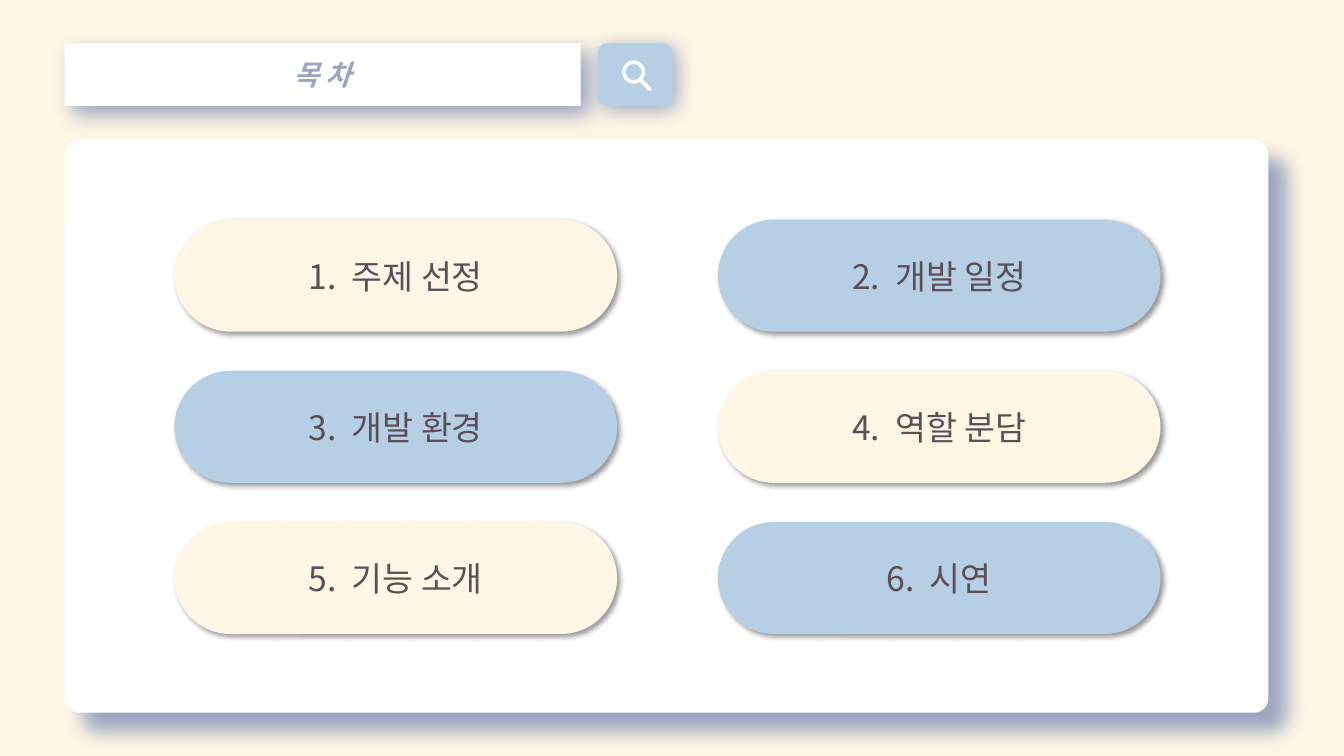
from lxml import etree
from pptx import Presentation
from pptx import util as u
from pptx.dml.color import RGBColor
from pptx.enum import shapes, text
from pptx.oxml import ns

# Content
TITLE = "목 차"
AGENDA = ["주제 선정", "개발 일정", "개발 환경", "역할 분담", "기능 소개", "시연"]

# Look
FONT = "Noto Sans CJK KR"
COLORS = {"cream": "FFF6E5", "blue": "B6CFE5", "white": "FFFFFF",
          "slate": "9AA6C0", "text": "5B4E55", "black": "000000"}
# Shadows: colour, opacity %, blur and distance in points
SHADOWS = {"bar": ("slate", 100, 15, 8), "button": ("slate", 100, 15, 4),
           "panel": ("slate", 100, 15, 19), "pill": ("black", 40, 4, 3)}

# Layout in inches
MARGIN, BAR_TOP, BAR_HEIGHT = 0.64, 0.43, 0.62
BAR = (MARGIN, BAR_TOP, 5.12, BAR_HEIGHT)
BUTTON = (5.93, BAR_TOP, 0.74, BAR_HEIGHT)
LENS = (6.17, 0.6, 0.23, 0.23)
HANDLE = (6.38, 0.76, 0.04, 0.16)
PANEL = (MARGIN, 1.39, 11.94, 5.68)
GRID_COLUMNS, GRID_LEFT, GRID_TOP = 2, 1.73, 2.18
COLUMN_STEP, ROW_STEP = 5.39, 1.5
PILL_WIDTH, PILL_HEIGHT = 4.39, 1.11


def color(name):
    return RGBColor.from_string(COLORS[name])


def paint(shape, fill, shadow=None):
    """Fill a shape without outline and give it a shadow towards lower right."""
    shape.fill.solid()
    shape.fill.fore_color.rgb = color(fill)
    shape.line.fill.background()
    shape.shadow.inherit = False
    if shadow:
        tint, opacity, blur, distance = SHADOWS[shadow]
        effects = shape._element.spPr.find(ns.qn("a:effectLst"))
        outer = etree.SubElement(
            effects, ns.qn("a:outerShdw"), blurRad=str(u.Pt(blur)),
            dist=str(u.Pt(distance)), dir=str(45 * 60000), algn="tl", rotWithShape="0")
        tone = etree.SubElement(outer, ns.qn("a:srgbClr"), val=COLORS[tint])
        etree.SubElement(tone, ns.qn("a:alpha"), val=str(opacity * 1000))


def add_block(slide, kind, box, fill, adjustment, shadow=None):
    shape = slide.shapes.add_shape(kind, *map(u.Inches, box))
    shape.adjustments[0] = adjustment
    paint(shape, fill, shadow)
    return shape


def center_text(shape):
    frame = shape.text_frame
    frame.word_wrap = True
    frame.auto_size = text.MSO_AUTO_SIZE.NONE
    frame.vertical_anchor = text.MSO_ANCHOR.MIDDLE
    paragraph = frame.paragraphs[0]
    paragraph.alignment = text.PP_ALIGN.CENTER
    return paragraph


def add_run(paragraph, words, size, tint, bold=False, italic=False):
    run = paragraph.add_run()
    run.text = words
    font = run.font
    font.name, font.size, font.bold, font.italic = FONT, u.Pt(size), bold, italic
    font.color.rgb = color(tint)
    etree.SubElement(font._element, ns.qn("a:ea"), typeface=FONT)
    return run


def add_title(slide):
    title = slide.shapes.title
    title.left, title.top, title.width, title.height = map(u.Inches, BAR)
    outline = etree.Element(ns.qn("a:prstGeom"), prst="roundRect")
    etree.SubElement(outline, ns.qn("a:avLst"))
    title._element.spPr.find(ns.qn("a:xfrm")).addnext(outline)
    paint(title, "white", "bar")
    add_run(center_text(title), TITLE, 20, "slate", bold=True, italic=True)


def add_search_button(slide):
    rounded = shapes.MSO_SHAPE.ROUNDED_RECTANGLE
    add_block(slide, rounded, BUTTON, "blue", 0.14, "button")
    add_block(slide, shapes.MSO_SHAPE.DONUT, LENS, "white", 0.15)
    handle = add_block(slide, rounded, HANDLE, "white", 0.5)
    handle.rotation = 315


def add_agenda(slide):
    rounded = shapes.MSO_SHAPE.ROUNDED_RECTANGLE
    add_block(slide, rounded, PANEL, "white", 0.025, "panel")
    for index, topic in enumerate(AGENDA):
        row, column = divmod(index, GRID_COLUMNS)
        box = (GRID_LEFT + column * COLUMN_STEP, GRID_TOP + row * ROW_STEP,
               PILL_WIDTH, PILL_HEIGHT)
        fill = ("cream", "blue")[(row + column) % 2]
        paragraph = center_text(add_block(slide, rounded, box, fill, 0.5, "pill"))
        add_run(paragraph, f"{index + 1}.", 24, "text")
        gap = add_run(paragraph, " ", 24, "text")
        gap.font._element.set("spc", "540")  # wider gap after the number
        add_run(paragraph, topic, 24, "text")


def main():
    presentation = Presentation()
    presentation.slide_width, presentation.slide_height = u.Inches(13.33), u.Inches(7.5)
    slide = presentation.slides.add_slide(presentation.slide_layouts[5])
    slide.background.fill.solid()
    slide.background.fill.fore_color.rgb = color("cream")
    add_title(slide)
    add_search_button(slide)
    add_agenda(slide)
    presentation.save("out.pptx")


if __name__ == "__main__":
    main()
